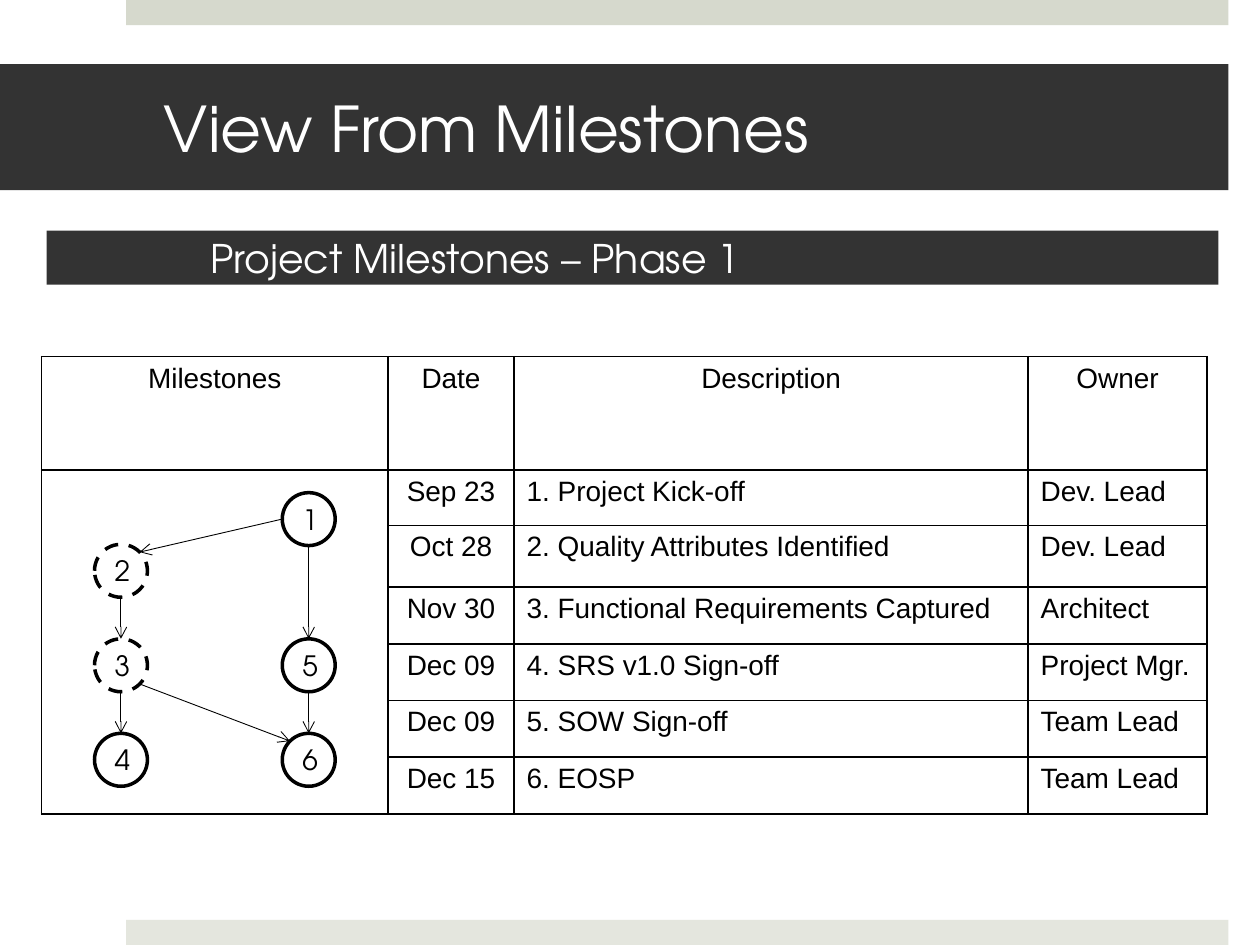
import dataclasses
import math

import pptx
import pptx.dml.color
import pptx.enum.dml
import pptx.enum.shapes
import pptx.enum.text
import pptx.oxml
import pptx.oxml.ns
import pptx.util

Inches = pptx.util.Inches
Pt = pptx.util.Pt
Shape = pptx.enum.shapes.MSO_SHAPE
Anchor = pptx.enum.text.MSO_ANCHOR
Align = pptx.enum.text.PP_ALIGN
Dash = pptx.enum.dml.MSO_LINE


@dataclasses.dataclass(frozen=True)
class Theme:
    """Colours, fonts and type sizes of the slide."""
    ink: str = "000000"
    paper: str = "FFFFFF"
    band: str = "333333"
    top_strip: str = "D6D9CD"
    bottom_strip: str = "E4E6DE"
    display: str = "TeX Gyre Adventor"
    body: str = "Arial"
    title_size: float = 36
    subtitle_size: float = 22.5
    text_size: float = 16


THEME = Theme()
COLUMNS = (2.75, 1, 4.08, 1.42)
ROWS = (0.9, 0.44, 0.49, 0.45, 0.45, 0.45, 0.45)
HEADERS = ("Milestones", "Date", "Description", "Owner")
MILESTONES = (
    ("Sep 23", "1. Project Kick-off", "Dev. Lead"),
    ("Oct 28", "2. Quality Attributes Identified", "Dev. Lead"),
    ("Nov 30", "3. Functional Requirements Captured", "Architect"),
    ("Dec 09", "4. SRS v1.0 Sign-off", "Project Mgr."),
    ("Dec 09", "5. SOW Sign-off", "Team Lead"),
    ("Dec 15", "6. EOSP", "Team Lead"),
)
RADIUS = 0.21
LEFT, RIGHT = 0.96, 2.45
NODES = {
    "1": (RIGHT, 4.12), "2": (LEFT, 4.53), "3": (LEFT, 5.28),
    "5": (RIGHT, 5.28), "4": (LEFT, 6.03), "6": (RIGHT, 6.03),
}
DASHED = ("2", "3")
ANGLES = {"right": 0, "lower right": 45, "bottom": 90, "left": 180,
          "upper left": 225, "top": 270, "upper right": 315}
LINKS = (
    ("1", "left", "2", "upper right"), ("2", "bottom", "3", "top"),
    ("1", "bottom", "5", "top"), ("3", "bottom", "4", "top"),
    ("3", "lower right", "6", "upper left"), ("5", "bottom", "6", "top"),
)


def colour(code):
    """Turn a hex code into a colour value."""
    return pptx.dml.color.RGBColor.from_string(code)


def apply(target, formats):
    """Set every attribute named in the format dict."""
    for name, value in formats.items():
        setattr(target, name, value)


def write(frame, text, font, size, ink, align=Align.LEFT):
    """Put one formatted line of text in a frame."""
    para = frame.paragraphs[0]
    para.alignment = align
    span = para.add_run()
    span.text = text
    apply(span.font, {"name": font, "size": Pt(size), "bold": False})
    span.font.color.rgb = colour(ink)


def add_block(page, kind, place, fill):
    """Add a flat filled shape without an outline."""
    block = page.shapes.add_shape(kind, *map(Inches, place))
    block.shadow.inherit = False
    block.fill.solid()
    block.fill.fore_color.rgb = colour(fill)
    block.line.fill.background()
    return block


def add_banner(page, place, text, size):
    """Add a dark band with a heading."""
    banner = add_block(page, Shape.RECTANGLE, place, THEME.band)
    apply(banner.text_frame, {
        "margin_left": Inches(1.3), "margin_right": Inches(0.3),
        "margin_top": Inches(0.05), "margin_bottom": Inches(0.05),
        "vertical_anchor": Anchor.MIDDLE, "word_wrap": True,
    })
    write(banner.text_frame, text, THEME.display, size, THEME.paper)


def add_borders(cell):
    """Draw a thin line on all four sides of a cell."""
    properties = cell._tc.get_or_add_tcPr()
    for side in "LRTB":
        properties.append(pptx.oxml.parse_xml(
            f'<a:ln{side} {pptx.oxml.ns.nsdecls("a")} w="{Pt(1)}"><a:solidFill>'
            f'<a:srgbClr val="{THEME.ink}"/></a:solidFill></a:ln{side}>'))


def add_milestone_table(page):
    """Add the table with an open first column for the diagram."""
    place = (0.33, 2.83, sum(COLUMNS), sum(ROWS))
    table = page.shapes.add_table(
        len(ROWS), len(COLUMNS), *map(Inches, place)).table
    apply(table, {"first_row": False, "horz_banding": False})
    for column, width in zip(table.columns, COLUMNS):
        column.width = Inches(width)
    for row, height in zip(table.rows, ROWS):
        row.height = Inches(height)
    for cell in table.iter_cells():
        add_borders(cell)
        cell.fill.background()
    table.cell(1, 0).merge(table.cell(len(MILESTONES), 0))
    for index, header in enumerate(HEADERS):
        write(table.cell(0, index).text_frame, header, THEME.body,
              THEME.text_size, THEME.ink, Align.CENTER)
    for line, entries in enumerate(MILESTONES, 1):
        for index, entry in enumerate(entries, 1):
            write(table.cell(line, index).text_frame, entry, THEME.body,
                  THEME.text_size, THEME.ink,
                  Align.CENTER if index == 1 else Align.LEFT)


def add_node(page, label, centre):
    """Add a numbered milestone circle."""
    x, y = centre
    place = (x - RADIUS, y - RADIUS, 2 * RADIUS, 2 * RADIUS)
    node = add_block(page, Shape.OVAL, place, THEME.paper)
    node.line.color.rgb = colour(THEME.ink)
    apply(node.line, {
        "width": Pt(2),
        "dash_style": Dash.DASH if label in DASHED else Dash.SOLID,
    })
    apply(node.text_frame, {
        "vertical_anchor": Anchor.MIDDLE, "word_wrap": True})
    write(node.text_frame, label, THEME.display, THEME.text_size, THEME.ink)


def rim_point(label, side):
    """Find the point on a circle's rim at the named side."""
    x, y = NODES[label]
    angle = math.radians(ANGLES[side])
    return (Inches(x + RADIUS * math.cos(angle)),
            Inches(y + RADIUS * math.sin(angle)))


def add_link(page, start, start_side, end, end_side):
    """Add an arrow from one milestone to the next."""
    link = page.shapes.add_connector(
        pptx.enum.shapes.MSO_CONNECTOR.STRAIGHT,
        *rim_point(start, start_side), *rim_point(end, end_side))
    link.line.color.rgb = colour(THEME.ink)
    link.line.width = Pt(0.5)
    names = pptx.oxml.ns.nsdecls("a")
    link.line._get_or_add_ln().append(
        pptx.oxml.parse_xml(f'<a:tailEnd {names} type="arrow"/>'))
    link._element.spPr.append(pptx.oxml.parse_xml(f"<a:effectLst {names}/>"))


def main():
    """Build the milestone slide and save it."""
    deck = pptx.Presentation()
    apply(deck, {"slide_width": Inches(10), "slide_height": Inches(7.5)})
    page = deck.slides.add_slide(deck.slide_layouts[6])
    for top, fill in ((0, THEME.top_strip), (7.3, THEME.bottom_strip)):
        add_block(page, Shape.RECTANGLE, (1, top, 8.75, 0.2), fill)
    add_banner(page, (0, 0.51, 9.75, 1), "View From Milestones",
               THEME.title_size)
    add_banner(page, (0.37, 1.83, 9.3, 0.43), "Project Milestones – Phase 1",
               THEME.subtitle_size)
    add_milestone_table(page)
    for label, centre in NODES.items():
        add_node(page, label, centre)
    for link in LINKS:
        add_link(page, *link)
    deck.save("out.pptx")


if __name__ == "__main__":
    main()
